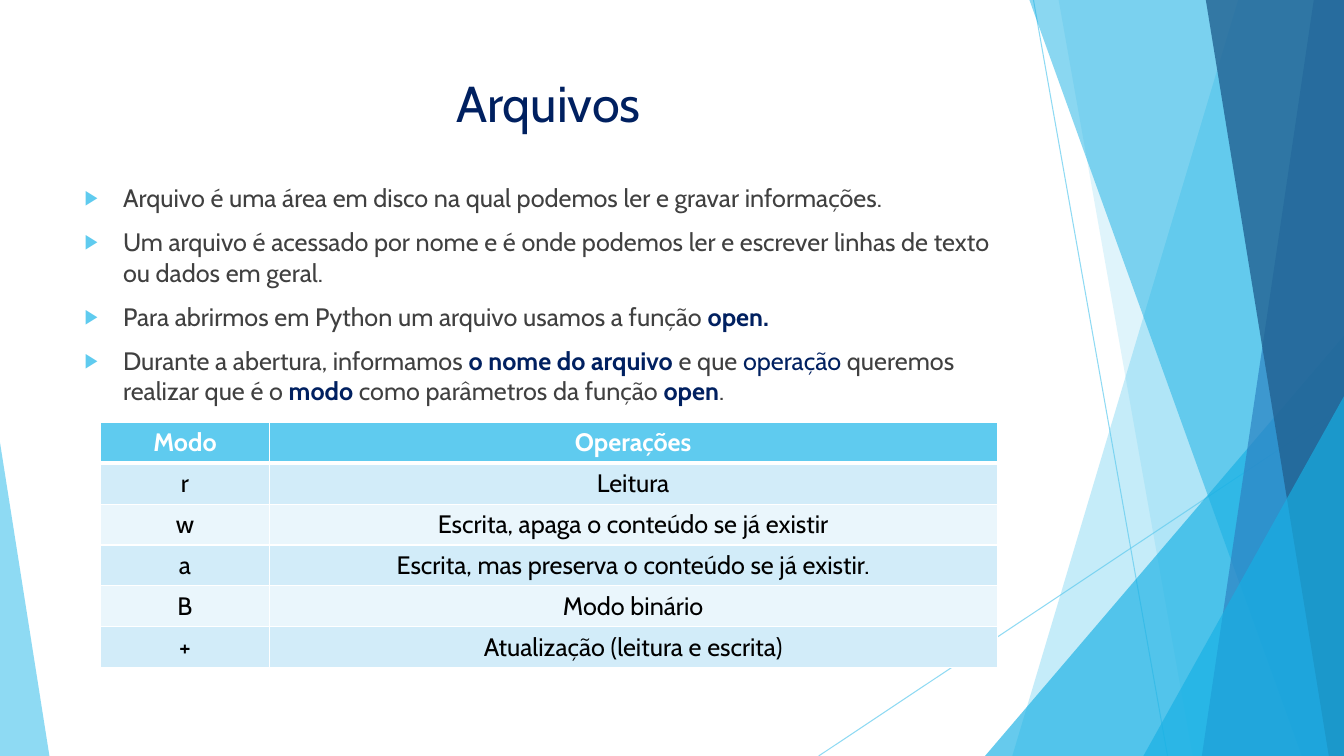
from lxml import etree
from pptx import Presentation
from pptx.dml.color import RGBColor
from pptx.enum.shapes import MSO_CONNECTOR, MSO_SHAPE
from pptx.enum.text import MSO_ANCHOR, MSO_AUTO_SIZE, PP_ALIGN
from pptx.oxml.ns import qn
from pptx.util import Inches, Pt

STRAIGHT = MSO_CONNECTOR.STRAIGHT
TRIANGLE = MSO_SHAPE.ISOSCELES_TRIANGLE
TOP, MIDDLE = MSO_ANCHOR.TOP, MSO_ANCHOR.MIDDLE
CENTER, LEFT = PP_ALIGN.CENTER, PP_ALIGN.LEFT
NO_AUTOFIT = MSO_AUTO_SIZE.NONE

SKY = RGBColor(0x5F, 0xCB, 0xEF)
CYAN = RGBColor(0x17, 0xB0, 0xE4)
BLUE = RGBColor(0x2E, 0x83, 0xC3)
DEEP_BLUE = RGBColor(0x22, 0x62, 0x92)
NAVY = RGBColor(0x00, 0x20, 0x60)
GRAY = RGBColor(0x40, 0x40, 0x40)
BLACK = RGBColor(0, 0, 0)
WHITE = RGBColor(0xFF, 0xFF, 0xFF)
BAND_DARK = RGBColor(0xD2, 0xEC, 0xF9)
BAND_LIGHT = RGBColor(0xEA, 0xF6, 0xFC)

WIDTH, HEIGHT = 13.33, 7.5
MARGIN, CONTENT_WIDTH = 0.74, 9.4


def add_run(paragraph, text, **formats):
    run = paragraph.add_run()
    run.text = text
    color = formats.pop("color")
    for name, value in {"name": "Cabin", "size": Pt(18), "bold": False, **formats}.items():
        setattr(run.font, name, value)
    run.font.color.rgb = color


def set_opacity(shape, percent):
    color = shape._element.spPr.find(".//" + qn("a:srgbClr"))
    etree.SubElement(color, qn("a:alpha"), val=str(percent * 1000))


presentation = Presentation()
presentation.slide_width = Inches(WIDTH)
presentation.slide_height = Inches(HEIGHT)
slide = presentation.slides.add_slide(presentation.slide_layouts[1])
shapes = slide.shapes

for start_x, start_y, end_x in [(10.25, 0, 11.58), (WIDTH, 4.03, 8.12)]:
    line = shapes.add_connector(
        STRAIGHT, Inches(start_x), Inches(start_y), Inches(end_x), Inches(HEIGHT))
    line.line.color.rgb = SKY
    line.line.width = Pt(0.75)
    set_opacity(line, 70)
    etree.SubElement(line._element.spPr, qn("a:effectLst"))

facets = [
    ("band", 12.28, 10.04, SKY, 36),
    ("band", 10.5, 11.83, SKY, 20),
    ("triangle", 9.77, 3.33, 3.56, 1, CYAN, 66),
    ("band", 10.21, 12.91, CYAN, 50),
    ("band", 13.03, 11.92, BLUE, 70),
    ("band", 11.96, 13.18, DEEP_BLUE, 80),
    ("triangle", 11.34, 3.93, 1.99, 1, CYAN, 66),
    ("triangle", 0, 4.39, 0.49, 0, SKY, 70),
]
for kind, *geometry, color, opacity in facets:
    if kind == "band":
        top_x, bottom_x = geometry
        outline = shapes.build_freeform(Inches(top_x), 0, scale=1.0)
        corners = [(WIDTH, 0), (WIDTH, HEIGHT), (bottom_x, HEIGHT)]
        outline.add_line_segments([(Inches(x), Inches(y)) for x, y in corners], close=True)
        facet = outline.convert_to_shape()
    else:
        left, top, width, apex = geometry
        facet = shapes.add_shape(
            TRIANGLE, Inches(left), Inches(top), Inches(width), Inches(HEIGHT - top))
        facet.adjustments[0] = apex
    facet.fill.solid()
    facet.fill.fore_color.rgb = color
    facet.line.fill.background()
    facet.shadow.inherit = False
    set_opacity(facet, opacity)

title, body = shapes.title, slide.placeholders[1]
for placeholder, top, height in [(title, 0.67, 0.94), (body, 1.76, 4.84)]:
    box = {"left": MARGIN, "top": top, "width": CONTENT_WIDTH, "height": height}
    for name, value in box.items():
        setattr(placeholder, name, Inches(value))
    frame_formats = {"vertical_anchor": TOP, "word_wrap": True, "auto_size": NO_AUTOFIT}
    for name, value in frame_formats.items():
        setattr(placeholder.text_frame, name, value)
    shapes._spTree.append(placeholder._element)

heading = title.text_frame.paragraphs[0]
heading.alignment = CENTER
add_run(heading, "Arquivos", size=Pt(36), color=NAVY)

plain = {"color": GRAY}
accent = {"color": NAVY}
strong = {"color": NAVY, "bold": True}
bullets = [
    [("Arquivo é uma área em disco na qual podemos ler e gravar informações.", plain)],
    [("Um arquivo é acessado por nome e é onde podemos ler e escrever linhas de texto "
      "ou dados em geral.", plain)],
    [("Para abrirmos em Python um arquivo usamos a função ", plain), ("open.", strong)],
    [("Durante a abertura, informamos ", plain), ("o nome do arquivo ", strong),
     ("e que ", plain), ("operação", accent), (" queremos realizar que é o ", plain),
     ("modo", strong), (" como parâmetros da função ", plain), ("open", strong),
     (".", plain)],
]
for index, runs in enumerate(bullets):
    frame = body.text_frame
    paragraph = frame.add_paragraph() if index else frame.paragraphs[0]
    paragraph.alignment = LEFT
    paragraph.space_before = Pt(10)
    properties = paragraph._p.get_or_add_pPr()
    properties.set("marL", str(Inches(0.38)))
    properties.set("indent", str(-Inches(0.38)))
    bullet_color = etree.SubElement(properties, qn("a:buClr"))
    etree.SubElement(bullet_color, qn("a:srgbClr"), val=str(SKY))
    etree.SubElement(properties, qn("a:buSzPct"), val="80000")
    etree.SubElement(properties, qn("a:buChar"), char="▶")
    for text, formats in runs:
        add_run(paragraph, text, **formats)

modes = [
    ("Modo", "Operações"),
    ("r", "Leitura"),
    ("w", "Escrita, apaga o conteúdo se já existir"),
    ("a", "Escrita, mas preserva o conteúdo se já existir."),
    ("B", "Modo binário"),
    ("+", "Atualização (leitura e escrita)"),
]
column_widths = [1.67, 7.22]
row_height = 0.405
table = shapes.add_table(
    len(modes), 2, Inches(1), Inches(4.19),
    Inches(sum(column_widths)), Inches(row_height * len(modes))).table
for column, width in zip(table.columns, column_widths):
    column.width = Inches(width)
for row_index, texts in enumerate(modes):
    header = row_index == 0
    fill = SKY if header else (BAND_LIGHT, BAND_DARK)[row_index % 2]
    for column_index, text in enumerate(texts):
        cell = table.cell(row_index, column_index)
        cell.vertical_anchor = MIDDLE
        cell.fill.solid()
        cell.fill.fore_color.rgb = fill
        paragraph = cell.text_frame.paragraphs[0]
        paragraph.alignment = CENTER
        add_run(paragraph, text, color=WHITE if header else BLACK, bold=header)
        properties = cell._tc.get_or_add_tcPr()
        for position, side in enumerate(["lnL", "lnR", "lnT", "lnB"]):
            thick = (header and side == "lnB") or (row_index == 1 and side == "lnT")
            border = etree.Element(qn("a:" + side), w=str(Pt(3 if thick else 1)))
            border_fill = etree.SubElement(border, qn("a:solidFill"))
            etree.SubElement(border_fill, qn("a:srgbClr"), val=str(WHITE))
            properties.insert(position, border)

presentation.save("out.pptx")
